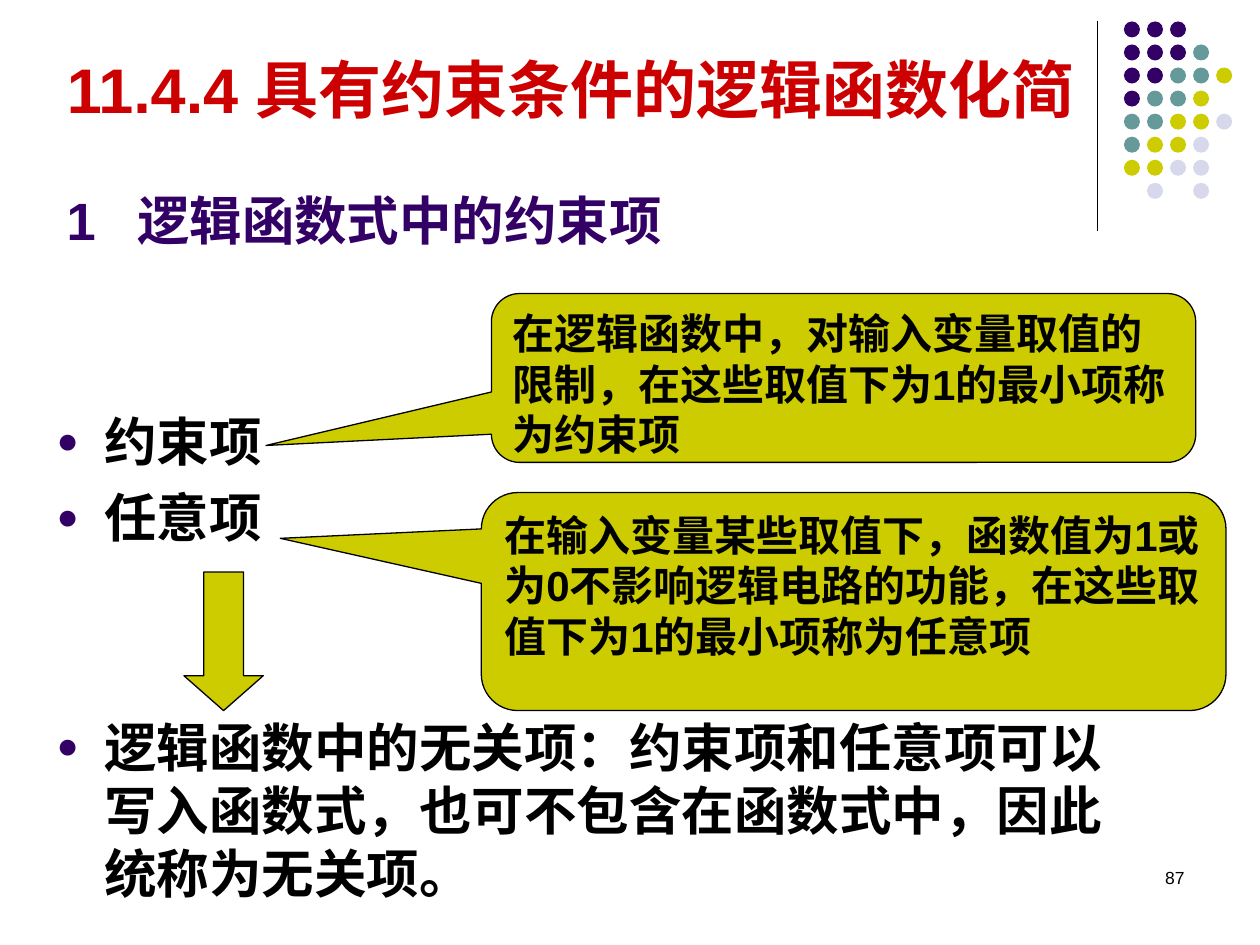
"""Build the slide on logic functions with constraint terms."""
from dataclasses import dataclass

from lxml.etree import SubElement
from pptx import Presentation
from pptx.dml.color import RGBColor
from pptx.enum.shapes import MSO_CONNECTOR, MSO_SHAPE
from pptx.enum.text import MSO_ANCHOR, MSO_AUTO_SIZE, PP_ALIGN
from pptx.oxml.ns import qn
from pptx.util import Inches, Pt


@dataclass(frozen=True)
class Theme:
    font: str = "Arial"
    ink: str = "000000"
    red: str = "CC0000"
    plum: str = "330066"
    teal: str = "669999"
    lime: str = "CCCC00"
    mist: str = "D8D8EC"
    head: float = 36
    body: float = 30
    note: float = 24
    foot: float = 10
    rule: float = 0.75


class Deck:
    """Hold the theme and slide; lengths are cells of a 100 by 75 grid."""

    def __init__(self, theme):
        self.theme = theme
        self.deck = Presentation()
        self.deck.slide_width, self.deck.slide_height = Inches(10), Inches(7.5)
        self.cell = self.deck.slide_width / 100
        self.slide = self.deck.slides.add_slide(self.deck.slide_layouts[5])

    def place(self, *cells):
        return [round(n * self.cell) for n in cells]

    def style(self, frame, size, color, bold=True, align=PP_ALIGN.LEFT):
        frame.word_wrap = True
        frame.auto_size = MSO_AUTO_SIZE.NONE
        for para in frame.paragraphs:
            para.alignment = align
            for run in para.runs:
                font = run.font
                font.name, font.size, font.bold = self.theme.font, Pt(size), bold
                font.color.rgb = RGBColor.from_string(color)

    def title(self, text, box):
        shape = self.slide.shapes.title
        shape.left, shape.top, shape.width, shape.height = self.place(*box)
        frame = shape.text_frame
        frame.text = text
        frame.vertical_anchor = MSO_ANCHOR.MIDDLE
        self.style(frame, self.theme.head, self.theme.red)

    def text(self, text, box, size, color, **look):
        frame = self.slide.shapes.add_textbox(*self.place(*box)).text_frame
        frame.text = text
        self.style(frame, size, color, **look)
        return frame

    def tab(self, para, stop):
        tabs = SubElement(para._p.get_or_add_pPr(), qn("a:tabLst"))
        SubElement(tabs, qn("a:tab"), pos=str(self.place(stop)[0]), algn="l")

    def bullet(self, para, indent):
        props = para._p.get_or_add_pPr()
        step = self.place(indent)[0]
        props.set("marL", str(step))
        props.set("indent", str(-step))
        color = SubElement(props, qn("a:buClr"))
        SubElement(color, qn("a:srgbClr"), val=self.theme.plum)
        SubElement(props, qn("a:buSzPct"), val="70000")
        SubElement(props, qn("a:buFont"), typeface=self.theme.font)
        SubElement(props, qn("a:buChar"), char="●")

    def bullets(self, items, box):
        text = "\n".join(item for item, gap in items)
        frame = self.text(text, box, self.theme.body, self.theme.ink)
        for para, (item, gap) in zip(frame.paragraphs, items):
            self.bullet(para, 3.8)
            para.space_before = Pt(gap)

    def shape(self, kind, box, fill, line=None, adjust=()):
        shape = self.slide.shapes.add_shape(kind, *self.place(*box))
        shape.shadow.inherit = False
        shape.fill.solid()
        shape.fill.fore_color.rgb = RGBColor.from_string(fill)
        if line:
            shape.line.color.rgb = RGBColor.from_string(line)
            shape.line.width = Pt(self.theme.rule)
        else:
            shape.line.fill.background()
        for spot, value in enumerate(adjust):
            shape.adjustments[spot] = value
        return shape

    def callout(self, text, box, tip):
        shape = self.shape(MSO_SHAPE.ROUNDED_RECTANGULAR_CALLOUT, box,
                           self.theme.lime, self.theme.ink, (*tip, 0.167))
        frame = shape.text_frame
        frame.text = text
        frame.vertical_anchor = MSO_ANCHOR.TOP
        self.style(frame, self.theme.note, self.theme.ink)

    def line(self, start, end):
        line = self.slide.shapes.add_connector(
            MSO_CONNECTOR.STRAIGHT, *self.place(*start, *end))
        line.line.color.rgb = RGBColor.from_string(self.theme.ink)
        line.line.width = Pt(self.theme.rule)
        SubElement(line._element.spPr, qn("a:effectLst"))

    def dots(self, rows, left, top, pitch, size):
        colors = {"p": self.theme.plum, "t": self.theme.teal,
                  "l": self.theme.lime, "m": self.theme.mist}
        for row, marks in enumerate(rows):
            for col, mark in enumerate(marks):
                if mark in colors:
                    box = (left + col * pitch, top + row * pitch, size, size)
                    self.shape(MSO_SHAPE.OVAL, box, colors[mark])


def main():
    theme = Theme()
    deck = Deck(theme)
    deck.line((87.1, 1.7), (87.1, 18.3))
    deck.dots(("ppp", "pppt", "ppttl", "pttl", "ttllm", "tllm", "llmm", ".m.m"),
              89.2, 1.7, 1.83, 1.27)
    deck.title("11.4.4 具有约束条件的逻辑函数化简", (4.3, 3.5, 85.1, 7))
    head = deck.text("1\t逻辑函数式中的约束项", (4.3, 14.4, 82, 6),
                     theme.body, theme.plum)
    deck.tab(head.paragraphs[0], 5.6)
    deck.bullets((
        ("约束项", 0),
        ("任意项", 7.5),
        ("逻辑函数中的无关项：约束项和任意项可以写入函数式，也可不包含在函数式中，因此统称为无关项。", 95),
    ), (3.5, 32, 88.5, 41))
    deck.callout("在逻辑函数中，对输入变量取值的限制，在这些取值下为1的最小项称为约束项",
                 (39, 23.3, 55.9, 13.4), (-0.82, 0.4))
    deck.callout("在输入变量某些取值下，函数值为1或为0不影响逻辑电路的功能，在这些取值下为1的最小项称为任意项",
                 (38.2, 39.1, 59.1, 17.3), (-0.77, -0.29))
    deck.shape(MSO_SHAPE.DOWN_ARROW, (14.6, 45.4, 6.3, 11), theme.lime,
               theme.ink, (0.5, 0.44))
    deck.text("87", (71.7, 68.3, 23.3, 5), theme.foot, theme.ink,
              bold=False, align=PP_ALIGN.RIGHT)
    deck.deck.save("out.pptx")


if __name__ == "__main__":
    main()
